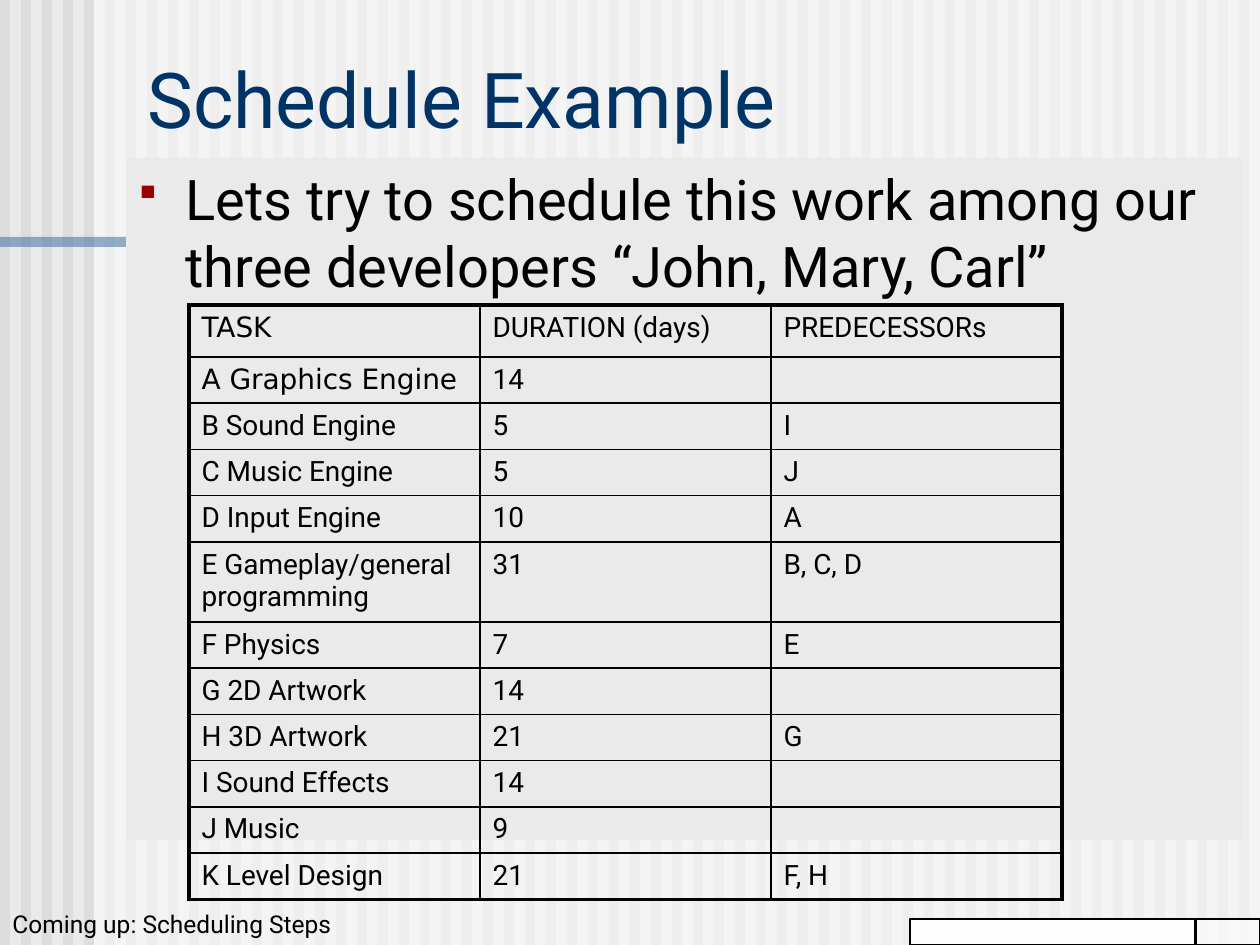
from lxml import etree
from pptx import Presentation
from pptx.dml.color import RGBColor
from pptx.enum.shapes import MSO_SHAPE
from pptx.enum.text import MSO_ANCHOR
from pptx.oxml.ns import qn
from pptx.util import Pt

RECT = MSO_SHAPE.RECTANGLE
TOP, BOTTOM = MSO_ANCHOR.TOP, MSO_ANCHOR.BOTTOM
EMU_PER_PX = 914400 / 126
WIDTH, HEIGHT = 1260, 945

TITLE = "Schedule Example"
INTRO = "Lets try to schedule this work among our three developers “John, Mary, Carl”"
COMING_UP = "Coming up: Scheduling Steps"
TASKS = [
    ("TASK", "DURATION (days)", "PREDECESSORs"),
    ("A Graphics Engine", "14", ""),
    ("B Sound Engine", "5", "I"),
    ("C Music Engine", "5", "J"),
    ("D Input Engine", "10", "A"),
    ("E Gameplay/general programming", "31", "B, C, D"),
    ("F Physics", "7", "E"),
    ("G 2D Artwork", "14", ""),
    ("H 3D Artwork", "21", "G"),
    ("I Sound Effects", "14", ""),
    ("J Music", "9", ""),
    ("K Level Design", "21", "F, H"),
]
ROW_HEIGHT = 46
TALL_ROWS = {0: 52, 5: 80}
COLUMN_WIDTH = 291
DEJAVU_ROWS = (0, 1)  # rows whose first cell is set in DejaVu Sans
THIN, THICK = 1, 2.25

STRIPE_WIDTH, STRIPE_PITCH = 10, 21
PANELS = [  # box, fill, opacity in percent
    ((94, 0, 1167, HEIGHT), "FFFFFF", 50),
    ((0, 237, 958, 10), "336699", 50),
]
FOOTER_BOXES = [
    ((910, 919, 285, 26), "FFFFFF", 90),
    ((1196, 919, 64, 26), "FFFFFF", 50),
]


def px(length):
    return round(length * EMU_PER_PX)


def box_emu(box):
    return [px(length) for length in box]


def color(hex_code):
    return RGBColor.from_string(hex_code)


def add_rect(shapes, box, fill, opacity=100, line=None):
    rect = shapes.add_shape(RECT, *box_emu(box))
    rect.shadow.inherit = False
    rect.fill.solid()
    rect.fill.fore_color.rgb = color(fill)
    if opacity < 100:
        srgb = rect.fill._xPr.find(".//" + qn("a:srgbClr"))
        etree.SubElement(srgb, qn("a:alpha"), val=str(opacity * 1000))
    if line:
        rect.line.color.rgb = color(line)
        rect.line.width = Pt(0.75)
    else:
        rect.line.fill.background()


def write(frame, text, size, font="Roboto", ink="000000", anchor=TOP):
    frame.word_wrap = True
    frame.vertical_anchor = anchor
    paragraph = frame.paragraphs[0]
    if text:
        run = paragraph.add_run()
        run.text = text
        run.font.size = Pt(size)
        run.font.name = font
        run.font.color.rgb = color(ink)
    else:
        etree.SubElement(paragraph._p, qn("a:endParaRPr"), sz=str(size * 100))
    return paragraph


def add_square_bullet(paragraph, indent, ink):
    props = paragraph._p.get_or_add_pPr()
    props.set("marL", str(px(indent)))
    props.set("indent", str(-px(indent)))
    bullet_color = etree.SubElement(props, qn("a:buClr"))
    etree.SubElement(bullet_color, qn("a:srgbClr"), val=ink)
    etree.SubElement(props, qn("a:buSzPct"), val="75000")
    etree.SubElement(props, qn("a:buFont"), typeface="Wingdings")
    etree.SubElement(props, qn("a:buChar"), char="§")


def set_borders(cell, widths):
    """Draw black borders; widths are points for left, right, top, bottom."""
    props = cell._tc.get_or_add_tcPr()
    for position, (side, width) in enumerate(zip("LRTB", widths)):
        border = etree.Element(qn("a:ln" + side), w=str(Pt(width)))
        fill = etree.SubElement(border, qn("a:solidFill"))
        etree.SubElement(fill, qn("a:srgbClr"), val="000000")
        props.insert(position, border)


def add_task_table(shapes, left, top):
    row_count, column_count = len(TASKS), len(TASKS[0])
    heights = [TALL_ROWS.get(r, ROW_HEIGHT) for r in range(row_count)]
    box = (left, top, COLUMN_WIDTH * column_count, sum(heights))
    table = shapes.add_table(row_count, column_count, *box_emu(box)).table
    table.first_row = table.horz_banding = False
    for column in table.columns:
        column.width = px(COLUMN_WIDTH)
    for r, task in enumerate(TASKS):
        table.rows[r].height = px(heights[r])
        for c, text in enumerate(task):
            cell = table.cell(r, c)
            cell.fill.background()
            font = "DejaVu Sans" if c == 0 and r in DEJAVU_ROWS else "Roboto"
            write(cell.text_frame, text, 16, font)
            outer = (c == 0, c == column_count - 1, r == 0, r == row_count - 1)
            set_borders(cell, [THICK if edge else THIN for edge in outer])


def main():
    deck = Presentation()
    deck.slide_width, deck.slide_height = px(WIDTH), px(HEIGHT)
    slide = deck.slides.add_slide(deck.slide_layouts[5])
    slide.background.fill.solid()
    slide.background.fill.fore_color.rgb = color("EAEAEA")
    shapes = slide.shapes

    for left in range(0, WIDTH, STRIPE_PITCH):
        add_rect(shapes, (left, 0, STRIPE_WIDTH, HEIGHT), "DDDDDD")
    for box, fill, opacity in PANELS:
        add_rect(shapes, box, fill, opacity)

    title = shapes.title
    title.left, title.top, title.width, title.height = box_emu((135, 0, 1125, 150))
    heading = write(title.text_frame, TITLE, 44, ink="003366", anchor=BOTTOM)
    heading.alignment = 1
    shapes._spTree.append(title._element)  # in front of the stripes

    intro = shapes.add_textbox(*box_emu((126, 158, 1117, 682)))
    intro.fill.solid()
    intro.fill.fore_color.rgb = color("EAEAEA")
    add_square_bullet(write(intro.text_frame, INTRO, 32), 47, "9A0000")

    coming_up = shapes.add_textbox(*box_emu((0, 903, 829, 42)))
    write(coming_up.text_frame, COMING_UP, 14, anchor=BOTTOM)

    add_task_table(shapes, 189, 305)
    for box, fill, opacity in FOOTER_BOXES:
        add_rect(shapes, box, fill, opacity, line="000000")
    deck.save("out.pptx")


if __name__ == "__main__":
    main()
